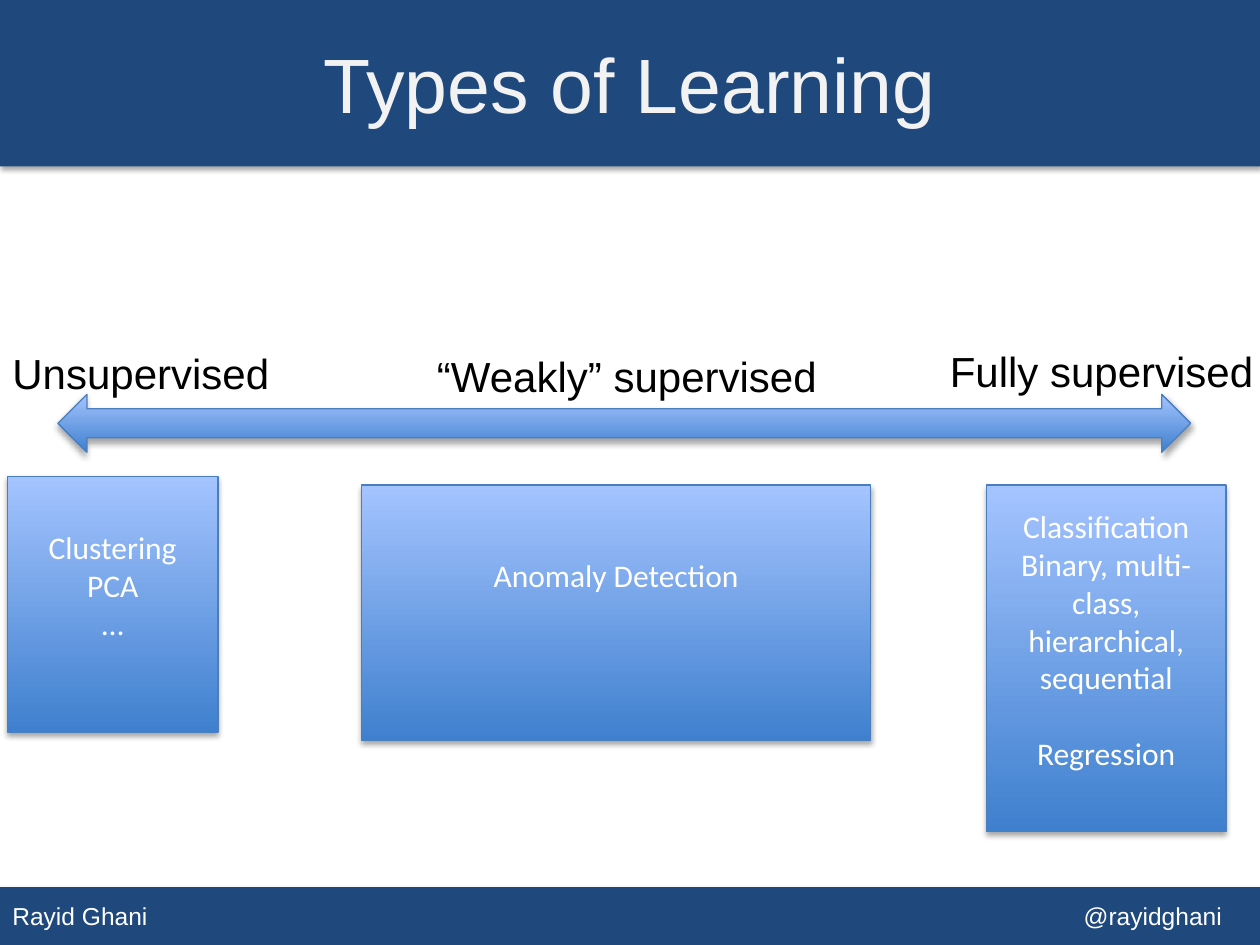
from lxml.etree import SubElement
from pptx import Presentation
from pptx.dml.color import RGBColor
from pptx.enum.shapes import MSO_SHAPE
from pptx.enum.text import MSO_ANCHOR, PP_ALIGN
from pptx.oxml.ns import qn
from pptx.util import Inches, Pt

NAVY, EDGE, WHITE, BLACK, PALE = "1F497D", "4B7EBC", "FFFFFF", "000000", "F2F2F2"
SHADE = ("3F80CE", "A4C4FF")
LINE = 0.3


def color(code):
    """Turn a hex string into a colour."""
    return RGBColor.from_string(code)


def write(shape, text, size=18, font="Calibri", ink=WHITE, align=PP_ALIGN.CENTER,
          anchor=MSO_ANCHOR.MIDDLE, wrap=True, foot=0.05):
    """Put formatted text, one paragraph a line, into a shape."""
    frame = shape.text_frame
    frame.text = text
    frame.word_wrap = wrap
    frame.vertical_anchor = anchor
    frame.margin_bottom = Inches(foot)
    for para in frame.paragraphs:
        para.alignment = align
        for run in para.runs:
            run.font.size = Pt(size)
            run.font.name = font
            run.font.color.rgb = color(ink)
    return frame


class Deck:
    """Hold the style and the current slide."""

    def __init__(self):
        """Start a deck with one title-only slide."""
        self.show = Presentation()
        self.show.slide_width, self.show.slide_height = Inches(10), Inches(7.5)
        self.slide = self.show.slides.add_slide(self.show.slide_layouts[5])

    def shape(self, kind, *box):
        """Add a preset shape with a soft shadow below it."""
        shape = self.slide.shapes.add_shape(kind, *map(Inches, box))
        shape.shadow.inherit = False
        glow = SubElement(shape._element.spPr.find(qn("a:effectLst")), qn("a:outerShdw"),
                          blurRad=str(Pt(3.1)), dist=str(Pt(1.8)), dir="5400000",
                          rotWithShape="0")
        tint = SubElement(glow, qn("a:srgbClr"), val=BLACK)
        SubElement(tint, qn("a:alpha"), val="35000")
        return shape

    def bar(self, top, height):
        """Add a plain band across the slide."""
        bar = self.shape(MSO_SHAPE.RECTANGLE, 0, top, 10, height)
        bar.fill.solid()
        bar.fill.fore_color.rgb = color(NAVY)
        bar.line.fill.background()
        return bar

    def block(self, kind, *box):
        """Add a shape that shades from dark below to light above."""
        block = self.shape(kind, *box)
        block.fill.gradient()
        block.fill.gradient_angle = 90
        for stop, code in zip(block.fill.gradient_stops, SHADE):
            stop.color.rgb = color(code)
        block.line.color.rgb = color(EDGE)
        block.line.width = Pt(0.75)
        return block

    def title(self, text):
        """Place the title in front of the bands."""
        title = self.slide.shapes.title
        title.left, title.top, title.width, title.height = map(Inches, (0, 0.03, 10, 1.25))
        write(title, text, size=44, font="Arial", ink=PALE)
        self.slide.shapes._spTree.append(title._element)

    def footer(self, left, right):
        """Add the bottom band with text at both ends."""
        frame = write(self.bar(7.04, 0.46), f"{left}\t{right}", size=14, font="Arial",
                      align=PP_ALIGN.LEFT)
        tabs = SubElement(frame.paragraphs[0]._p.get_or_add_pPr(), qn("a:tabLst"))
        SubElement(tabs, qn("a:tab"), pos=str(Inches(9.6)), algn="r")

    def label(self, text, *box):
        """Add a heading above the arrow."""
        label = self.slide.shapes.add_textbox(*map(Inches, box))
        write(label, text, size=24, font="Arial", ink=BLACK, align=PP_ALIGN.LEFT,
              anchor=MSO_ANCHOR.TOP, wrap=False)

    def card(self, text, lift, *box):
        """Add a box whose text is lifted by some blank lines."""
        card = self.block(MSO_SHAPE.RECTANGLE, *box)
        return write(card, text, foot=0.05 + lift * LINE)


deck = Deck()
deck.footer("Rayid Ghani", "@rayidghani")
deck.bar(0, 1.32)
deck.title("Types of Learning")
for text, left, top, width in (("Unsupervised", 0, 2.71, 2.26),
                               ("“Weakly” supervised", 3.37, 2.73, 3.24),
                               ("Fully supervised", 7.44, 2.69, 2.63)):
    deck.label(text, left, top, width, 0.5)
deck.block(MSO_SHAPE.LEFT_RIGHT_ARROW, 0.46, 3.13, 8.99, 0.46)
deck.card("Clustering\nPCA\n…", 1, 0.06, 3.78, 1.67, 2.03)
deck.card("Anomaly Detection", 2, 2.87, 3.85, 4.04, 2.03)
full = deck.card("Classification\nBinary, multi-class, hierarchical, sequential\nRegression",
                 1, 7.83, 3.85, 1.9, 2.75)
full.paragraphs[-1].space_before = Inches(LINE)
deck.show.save("out.pptx")
